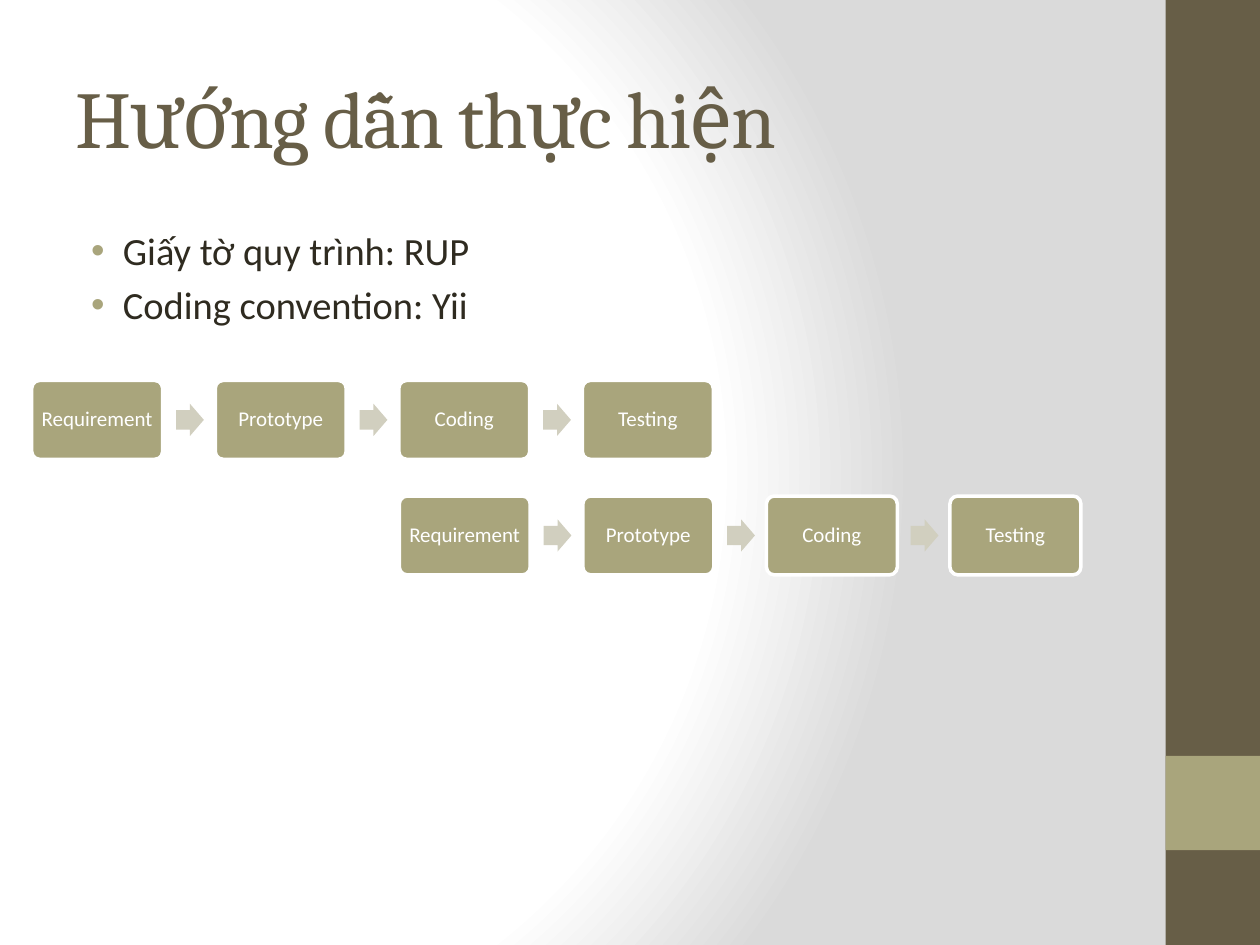
import pptx
import pptx.util
import pptx.oxml
import pptx.oxml.ns
import pptx.dml.color
import pptx.enum.shapes
import pptx.enum.text

Cm, Pt = pptx.util.Cm, pptx.util.Pt
SHAPE = pptx.enum.shapes.MSO_SHAPE
ANCHOR = pptx.enum.text.MSO_ANCHOR
NS = pptx.oxml.ns.nsdecls("a", "p")
COLORS = {"brown": "675E47", "olive": "A9A57C", "arrow": "D1CFBF",
          "text": "2F2B20", "white": "FFFFFF", "gray": "DADADA"}


def add_block(parent, preset, box, color):
    block = parent.add_shape(preset, *[Cm(v) for v in box])
    block.shadow.inherit = False
    block.fill.solid()
    block.fill.fore_color.rgb = pptx.dml.color.RGBColor.from_string(COLORS[color])
    block.line.fill.background()
    return block


def set_font(paragraph, name, size, color):
    paragraph.font.name = name
    paragraph.font.size = Pt(size)
    paragraph.font.color.rgb = pptx.dml.color.RGBColor.from_string(COLORS[color])


deck = pptx.Presentation()
deck.slide_width, deck.slide_height = Cm(25.4), Cm(19.05)
slide = deck.slides.add_slide(deck.slide_layouts[6])

stops = "".join(f'<a:gs pos="{pos}"><a:srgbClr val="{COLORS[color]}"/></a:gs>'
                for pos, color in ((0, "white"), (75000, "white"), (100000, "gray")))
background = pptx.oxml.parse_xml(
    f'<p:bg {NS}><p:bgPr><a:gradFill rotWithShape="1"><a:gsLst>{stops}</a:gsLst>'
    '<a:path path="circle"><a:fillToRect l="20000" t="50000" r="100000" b="50000"/></a:path>'
    '</a:gradFill><a:effectLst/></p:bgPr></p:bg>')
slide.element.cSld.insert(0, background)

add_block(slide.shapes, SHAPE.RECTANGLE, (23.5, 0, 1.9, 19.05), "brown")
add_block(slide.shapes, SHAPE.RECTANGLE, (23.5, 15.24, 1.9, 1.9), "olive")

title = slide.shapes.add_textbox(Cm(1.27), Cm(0.76), Cm(21.16), Cm(3.18)).text_frame
title.word_wrap = True
title.vertical_anchor = ANCHOR.MIDDLE
heading = title.paragraphs[0]
heading.text = "Hướng dẫn thực hiện"
set_font(heading, "Cambria", 46, "brown")
heading.runs[0].font._element.set("spc", "-100")

guidelines = slide.shapes.add_textbox(Cm(1.27), Cm(4.45), Cm(21.16), Cm(13.34)).text_frame
guidelines.word_wrap = True
guidelines.text = "Giấy tờ quy trình: RUP\nCoding convention: Yii"
for item in guidelines.paragraphs:
    set_font(item, "Calibri", 22, "text")
    item.space_before = Pt(4.4)
    properties = item._p.get_or_add_pPr()
    properties.set("marL", str(Cm(0.96)))
    properties.set("indent", str(Cm(-0.64)))
    bullet_color = pptx.oxml.parse_xml(
        f'<a:buClr {NS}><a:srgbClr val="{COLORS["olive"]}"/></a:buClr>')
    bullet_font = pptx.oxml.parse_xml(f'<a:buFont {NS} typeface="Arial"/>')
    bullet = pptx.oxml.parse_xml(f'<a:buChar {NS} char="•"/>')
    position = list(properties).index(properties.find(pptx.oxml.ns.qn("a:defRPr")))
    for offset, part in enumerate((bullet_color, bullet_font, bullet)):
        properties.insert(position + offset, part)

STEPS = ("Requirement", "Prototype", "Coding", "Testing")
PITCH = 3.7
for left, top in ((0.64, 7.67), (8.05, 10)):
    process = slide.shapes.add_group_shape().shapes
    for index, name in enumerate(STEPS):
        x = left + index * PITCH
        step = add_block(process, SHAPE.ROUNDED_RECTANGLE, (x, top, 2.64, 1.59), "olive")
        step.adjustments[0] = 0.1
        step.line.color.rgb = pptx.dml.color.RGBColor.from_string(COLORS["white"])
        step.line.width = Pt(2)
        label = step.text_frame
        label.word_wrap = True
        label.vertical_anchor = ANCHOR.MIDDLE
        label.margin_left = label.margin_right = Cm(0.05)
        label.margin_top = label.margin_bottom = Cm(0.15)
        caption = label.paragraphs[0]
        caption.text = name
        caption.alignment = pptx.enum.text.PP_ALIGN.CENTER
        caption.line_spacing = 0.9
        set_font(caption, "Calibri", 12, "white")
        if index < len(STEPS) - 1:
            arrow = add_block(process, SHAPE.RIGHT_ARROW, (x + 2.91, top + 0.47, 0.56, 0.65), "arrow")
            arrow.adjustments[0] = 0.6
            arrow.adjustments[1] = 0.5

deck.save("out.pptx")
